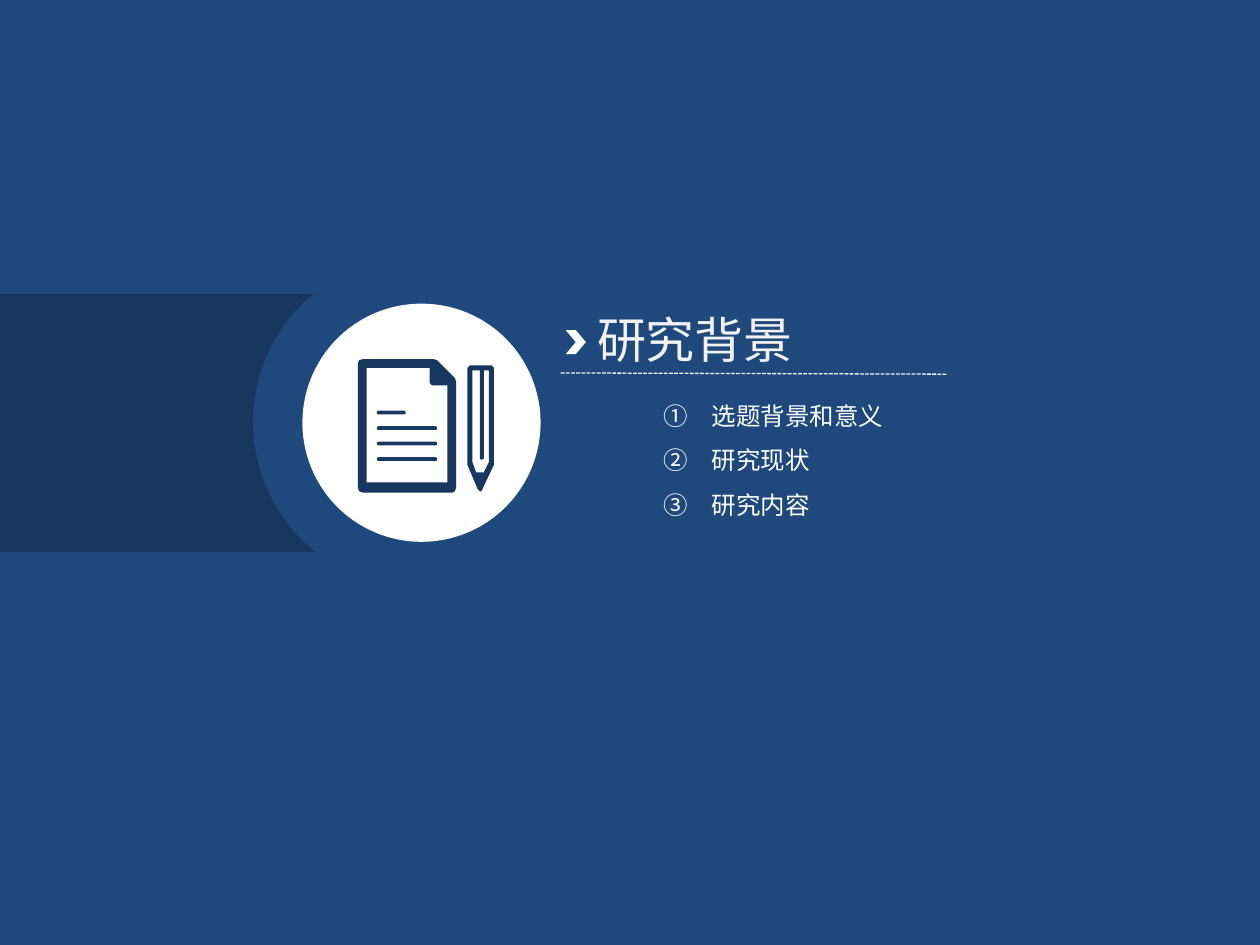
from pptx import Presentation
from pptx.util import Inches, Pt
from pptx.dml.color import RGBColor as RGB
from pptx.enum.shapes import MSO_SHAPE as Shape, MSO_CONNECTOR as Conn
from pptx.enum.dml import MSO_LINE as Dash
from pptx.enum.text import MSO_AUTO_SIZE as Fit
from pptx.oxml.ns import qn
from lxml.etree import SubElement as Sub

FONT = "Noto Sans CJK SC"
COLORS = {"blue": "1F497D", "navy": "17375E", "white": "FFFFFF", "pale": "F2F2F2"}

prs = Presentation()
prs.slide_width, prs.slide_height = Inches(10), Inches(7.5)
slide = prs.slides.add_slide(prs.slide_layouts[6])
shapes = slide.shapes


def paint(shape, color):
    shape.shadow.inherit = False
    shape.fill.solid()
    shape.fill.fore_color.rgb = RGB.from_string(COLORS[color])
    shape.line.fill.background()


def write(box, lines, size, color):
    frame = box.text_frame
    frame.text = "\n".join(lines)
    frame.word_wrap = False
    frame.auto_size = Fit.SHAPE_TO_FIT_TEXT
    for para in frame.paragraphs:
        for run in para.runs:
            run.font.size = Pt(size)
            run.font.name = FONT
            run.font.color.rgb = RGB.from_string(COLORS[color])
            Sub(run.font._element, qn("a:ea"), typeface=FONT)
    return frame


# Backdrop, side band, ring, disc and title marker
for kind, left, top, width, height, color in [
    (Shape.RECTANGLE, 0, -0.12, 10.05, 7.62, "blue"),
    (Shape.RECTANGLE, 0, 2.33, 3.19, 2.05, "navy"),
    (Shape.OVAL, 2.01, 2.03, 2.64, 2.64, "blue"),
    (Shape.OVAL, 2.4, 2.41, 1.89, 1.89, "white"),
    (Shape.CHEVRON, 4.49, 2.62, 0.16, 0.19, "white"),
]:
    paint(shapes.add_shape(kind, Inches(left), Inches(top), Inches(width), Inches(height)), color)

# Dashed rule under the title
rule = shapes.add_connector(Conn.STRAIGHT, Inches(4.45), Inches(2.96), Inches(7.52), Inches(2.97))
rule.line.color.rgb = RGB.from_string(COLORS["pale"])
rule.line.width = Pt(0.75)
rule.line.dash_style = Dash.SQUARE_DOT
Sub(rule._element.spPr, qn("a:effectLst"))

# Title
title = shapes.add_textbox(Inches(4.64), Inches(2.41), Inches(1.77), Inches(0.57))
write(title, ["研究背景"], 28, "pale")

# Numbered topics
topics = shapes.add_textbox(Inches(5.17), Inches(3.02), Inches(1.96), Inches(1.16))
frame = write(topics, ["选题背景和意义", "研究现状", "研究内容"], 14, "white")
for para in frame.paragraphs:
    para.line_spacing = 1.5
    props = para._p.get_or_add_pPr()
    props.set("marL", str(Inches(0.38)))
    props.set("indent", str(Inches(-0.38)))
    Sub(props, qn("a:buFont"), typeface="+mj-ea")
    Sub(props, qn("a:buAutoNum"), type="circleNumDbPlain")

# Text lines on the page icon
for row, width in enumerate([0.23, 0.48, 0.48, 0.48]):
    bar = shapes.add_shape(Shape.ROUNDED_RECTANGLE, Inches(2.99), Inches(3.26 + 0.123 * row),
                           Inches(width), Inches(0.03))
    bar.adjustments[0] = 0.5
    paint(bar, "navy")

# Page and pencil outlines with their holes, in inches
page = [
    [(2.88, 2.85), (3.44, 2.85), (3.47, 2.86), (3.61, 3), (3.62, 3.03), (3.62, 3.87),
     (3.61, 3.9), (3.59, 3.91), (2.88, 3.91), (2.85, 3.9), (2.84, 3.87), (2.84, 2.88),
     (2.85, 2.86)],
    [(2.91, 2.92), (3.41, 2.92), (3.41, 3.04), (3.43, 3.06), (3.55, 3.06), (3.55, 3.83),
     (2.91, 3.83)],
]
pencil = [
    [(3.73, 2.9), (3.9, 2.9), (3.92, 2.92), (3.92, 3.69), (3.83, 3.88), (3.82, 3.9),
     (3.81, 3.9), (3.79, 3.88), (3.71, 3.69), (3.71, 2.92)],
    [(3.75, 2.94), (3.81, 2.94), (3.81, 3.64), (3.82, 3.65), (3.84, 3.64), (3.84, 2.94),
     (3.88, 2.94), (3.88, 3.67), (3.84, 3.75), (3.78, 3.75), (3.75, 3.67)],
]
for icon in (page, pencil):
    outer, hole = [[(Inches(x), Inches(y)) for x, y in ring] for ring in icon]
    pen = shapes.build_freeform(*outer[0])
    pen.add_line_segments(outer[1:])
    pen.move_to(*hole[0])
    pen.add_line_segments(hole[1:])
    paint(pen.convert_to_shape(), "navy")

prs.save("out.pptx")
